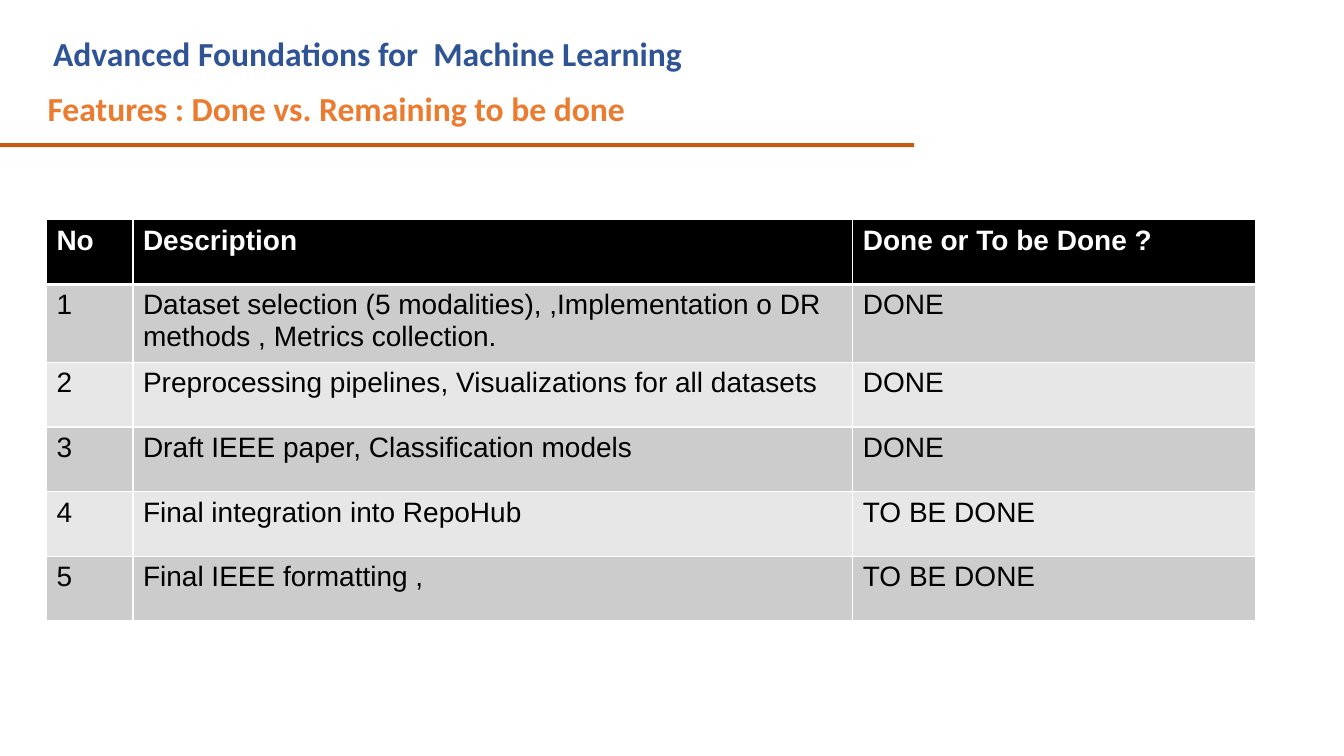
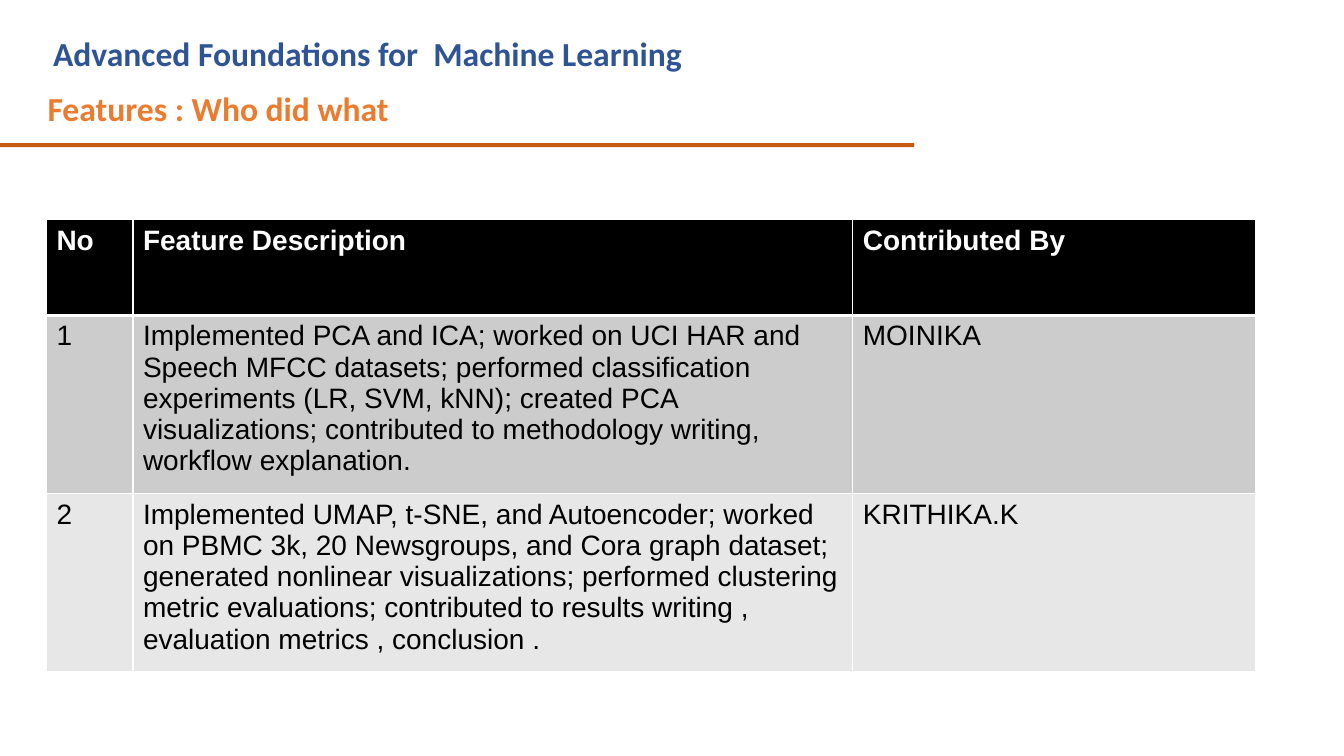
"""Build two project status slides, each with a shared heading and a table."""
from lxml.etree import SubElement
from pptx import Presentation
from pptx.dml.color import RGBColor
from pptx.enum.shapes import MSO_SHAPE
from pptx.oxml.ns import qn
from pptx.util import Cm, Pt

COLORS = {
    "course": "2F5496",
    "title": "EB7B2F",
    "rule": "C55A11",
    "header": "000000",
    "odd": "CCCCCC",
    "even": "E7E7E7",
    "white": "FFFFFF",
    "body": "000000",
}
COURSE = "Advanced Foundations for  Machine Learning"
COLUMNS = (2.18, 18.14, 10.16)
LEFT = 1.17

STATUS = (
    ("Description", "Done or To be Done ?"),
    ("Dataset selection (5 modalities), ,Implementation o DR methods , "
     "Metrics collection.", "DONE"),
    ("Preprocessing pipelines, Visualizations for all datasets", "DONE"),
    ("Draft IEEE paper, Classification models", "DONE"),
    ("Final integration into RepoHub", "TO BE DONE"),
    ("Final IEEE formatting ,", "TO BE DONE"),
)
WORK = (
    ("Feature Description", "Contributed By"),
    ("Implemented PCA and ICA; worked on UCI HAR and Speech MFCC datasets; "
     "performed classification experiments (LR, SVM, kNN); created PCA "
     "visualizations; contributed to methodology writing, workflow "
     "explanation.", "MOINIKA"),
    ("Implemented UMAP, t-SNE, and Autoencoder; worked on PBMC 3k, "
     "20 Newsgroups, and Cora graph dataset; generated nonlinear "
     "visualizations; performed clustering metric evaluations; contributed "
     "to results writing , evaluation metrics , conclusion .", "KRITHIKA.K"),
)


def rgb(name):
    return RGBColor.from_string(COLORS[name])


def set_text(tf, text, color="body", size=20, font="Arial", bold=False,
             spacing=None):
    p = tf.paragraphs[0]
    p.line_spacing = spacing
    r = p.add_run()
    r.text = text
    r.font.name = font
    r.font.size = Pt(size)
    r.font.bold = bold
    r.font.color.rgb = rgb(color)


def add_heading(slide, text, box, margins, **fmt):
    tf = slide.shapes.add_textbox(*map(Cm, box)).text_frame
    tf.word_wrap = True
    tf.margin_left, tf.margin_top, tf.margin_right, tf.margin_bottom = map(
        Cm, margins)
    set_text(tf, text, size=24, font="Calibri", bold=True, **fmt)


def add_rule(slide):
    sp = slide.shapes.add_shape(
        MSO_SHAPE.RECTANGLE, Cm(0), Cm(3.61), Cm(23.04), Cm(0.1))
    sp.shadow.inherit = False
    sp.fill.solid()
    sp.fill.fore_color.rgb = rgb("rule")
    sp.line.fill.background()


def set_borders(cell, top=1, bottom=1):
    tc_pr = cell._tc.get_or_add_tcPr()
    for side, width in (("L", 1), ("R", 1), ("T", top), ("B", bottom)):
        ln = SubElement(tc_pr, qn(f"a:ln{side}"), w=str(Pt(width)))
        fill = SubElement(ln, qn("a:solidFill"))
        SubElement(fill, qn("a:srgbClr"), val=COLORS["white"])


def add_table(slide, rows, heights):
    table = slide.shapes.add_table(
        len(rows), len(COLUMNS), Cm(LEFT), Cm(5.54),
        Cm(sum(COLUMNS)), Cm(sum(heights))).table
    table.horz_banding = False
    for column, width in zip(table.columns, COLUMNS):
        column.width = Cm(width)
    for i, (row, height) in enumerate(zip(rows, heights)):
        table.rows[i].height = Cm(height)
        header = i == 0
        fill = "header" if header else ("even", "odd")[i % 2]
        for j, text in enumerate(("No" if header else str(i), *row)):
            cell = table.cell(i, j)
            set_borders(cell, top=3 if i == 1 else 1, bottom=3 if header else 1)
            cell.fill.solid()
            cell.fill.fore_color.rgb = rgb(fill)
            set_text(cell.text_frame, text, bold=header,
                     color="white" if header else "body")


def add_slide(prs, title, rows, heights):
    slide = prs.slides.add_slide(prs.slide_layouts[6])
    add_rule(slide)
    add_heading(slide, COURSE, (1.09, 0.71, 20.83, 1.27),
                (0.25, 0.13, 0.25, 0.13), color="course")
    add_heading(slide, title, (LEFT, 1.83, 15.08, 1.42),
                (0.03, 0.03, 0, 0), color="title", spacing=1.35)
    add_table(slide, rows, heights)


def main():
    prs = Presentation()
    prs.slide_width, prs.slide_height = Cm(33.87), Cm(19.05)
    add_slide(prs, "Features : Done vs. Remaining to be done", STATUS,
              (1.63, 1.96, *[1.63] * 4))
    add_slide(prs, "Features : Who did what", WORK, (2.41, 4.49, 4.49))
    prs.save("out.pptx")


if __name__ == "__main__":
    main()
